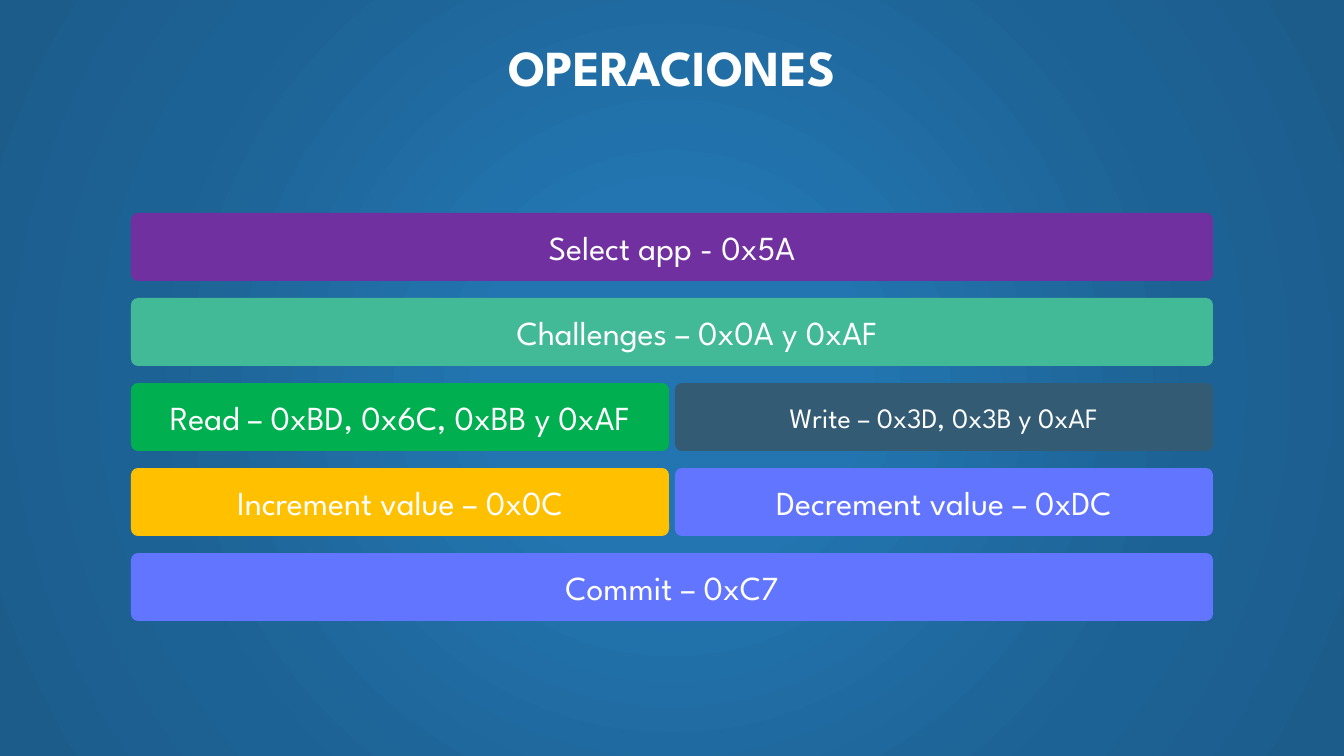
from lxml.etree import SubElement
from pptx import Presentation
from pptx.dml.color import RGBColor
from pptx.enum.shapes import MSO_SHAPE
from pptx.enum.text import MSO_ANCHOR, MSO_AUTO_SIZE, PP_ALIGN
from pptx.oxml.ns import qn
from pptx.util import Pt

WHITE = RGBColor(0xFF, 0xFF, 0xFF)
PURPLE = RGBColor(0x70, 0x30, 0xA0)
TEAL = RGBColor(0x42, 0xBA, 0x97)
GREEN = RGBColor(0x00, 0xB0, 0x50)
SLATE = RGBColor(0x33, 0x5B, 0x74)
AMBER = RGBColor(0xFF, 0xC0, 0x00)
VIOLET = RGBColor(0x62, 0x75, 0xFE)
BLUE = RGBColor(0x22, 0x75, 0xB0)
MID_BLUE = RGBColor(0x1D, 0x62, 0x94)
DEEP_BLUE = RGBColor(0x1B, 0x5C, 0x8B)

SLIDE_W, SLIDE_H = 1344, 756
LEFT, TOP = 131, 213
FULL_W, BAR_H = 1082, 68
COLUMN_GAP, ROW_STEP = 6, 85
INSET, TAB = 10, 50


def px(length):
    return round(length * 12192000 / SLIDE_W)


class Deck:
    font_name = "League Spartan"

    def __init__(self):
        self.presentation = Presentation()
        self.presentation.slide_width = px(SLIDE_W)
        self.presentation.slide_height = px(SLIDE_H)
        title_only = self.presentation.slide_layouts[5]
        self.slide = self.presentation.slides.add_slide(title_only)

    def background(self, stops):
        """Radial gradient around the centre; stops are (percent, colour)."""
        self.slide.background.fill.gradient()
        gradient = self.slide.element.find(".//" + qn("a:gradFill"))
        for child in list(gradient):
            gradient.remove(child)
        stop_list = SubElement(gradient, qn("a:gsLst"))
        for percent, color in stops:
            stop = SubElement(stop_list, qn("a:gs"), pos=str(percent * 1000))
            SubElement(stop, qn("a:srgbClr"), val=str(color))
        circle = SubElement(gradient, qn("a:path"))
        circle.set("path", "circle")
        SubElement(circle, qn("a:fillToRect"),
                   dict.fromkeys("ltrb", "50000"))

    def set_text(self, shape, text, size, bold=False, indent=0):
        frame = shape.text_frame
        frame.text = text
        frame.word_wrap = True
        frame.auto_size = MSO_AUTO_SIZE.NONE
        frame.vertical_anchor = MSO_ANCHOR.MIDDLE
        frame.margin_left = px(INSET + indent)
        frame.margin_right = px(INSET)
        paragraph = frame.paragraphs[0]
        paragraph.alignment = PP_ALIGN.CENTER
        font = paragraph.font
        font.name, font.size, font.bold = self.font_name, Pt(size), bold
        font.color.rgb = WHITE

    def title(self, text, width, height):
        heading = self.slide.shapes.title
        heading.left, heading.top = 0, 0
        heading.width, heading.height = px(width), px(height)
        self.set_text(heading, text, 36, bold=True)

    def bar(self, left, top, width, color, text, size=24, indent=0):
        bar = self.slide.shapes.add_shape(
            MSO_SHAPE.ROUNDED_RECTANGLE,
            px(left), px(top), px(width), px(BAR_H))
        bar.adjustments[0] = 0.1
        bar.shadow.inherit = False
        bar.fill.solid()
        bar.fill.fore_color.rgb = color
        bar.line.fill.background()
        self.set_text(bar, text, size, indent=indent)

    def save(self):
        self.presentation.save("out.pptx")


def main():
    deck = Deck()
    deck.background([(0, BLUE), (23, BLUE), (69, MID_BLUE), (97, DEEP_BLUE)])
    deck.title("OPERACIONES", SLIDE_W, 132)

    # Operations, one list per row; bars in a row share its width
    operations = [
        [(PURPLE, "Select app - 0x5A")],
        [(TEAL, "Challenges – 0x0A y 0xAF", 24, TAB)],
        [(GREEN, "Read – 0xBD, 0x6C, 0xBB y 0xAF"),
         (SLATE, "Write – 0x3D, 0x3B y 0xAF", 20)],
        [(AMBER, "Increment value – 0x0C"),
         (VIOLET, "Decrement value – 0xDC")],
        [(VIOLET, "Commit – 0xC7")],
    ]
    for row, bars in enumerate(operations):
        width = (FULL_W - COLUMN_GAP * (len(bars) - 1)) // len(bars)
        for column, operation in enumerate(bars):
            left = LEFT + column * (width + COLUMN_GAP)
            deck.bar(left, TOP + row * ROW_STEP, width, *operation)

    deck.save()


if __name__ == "__main__":
    main()
